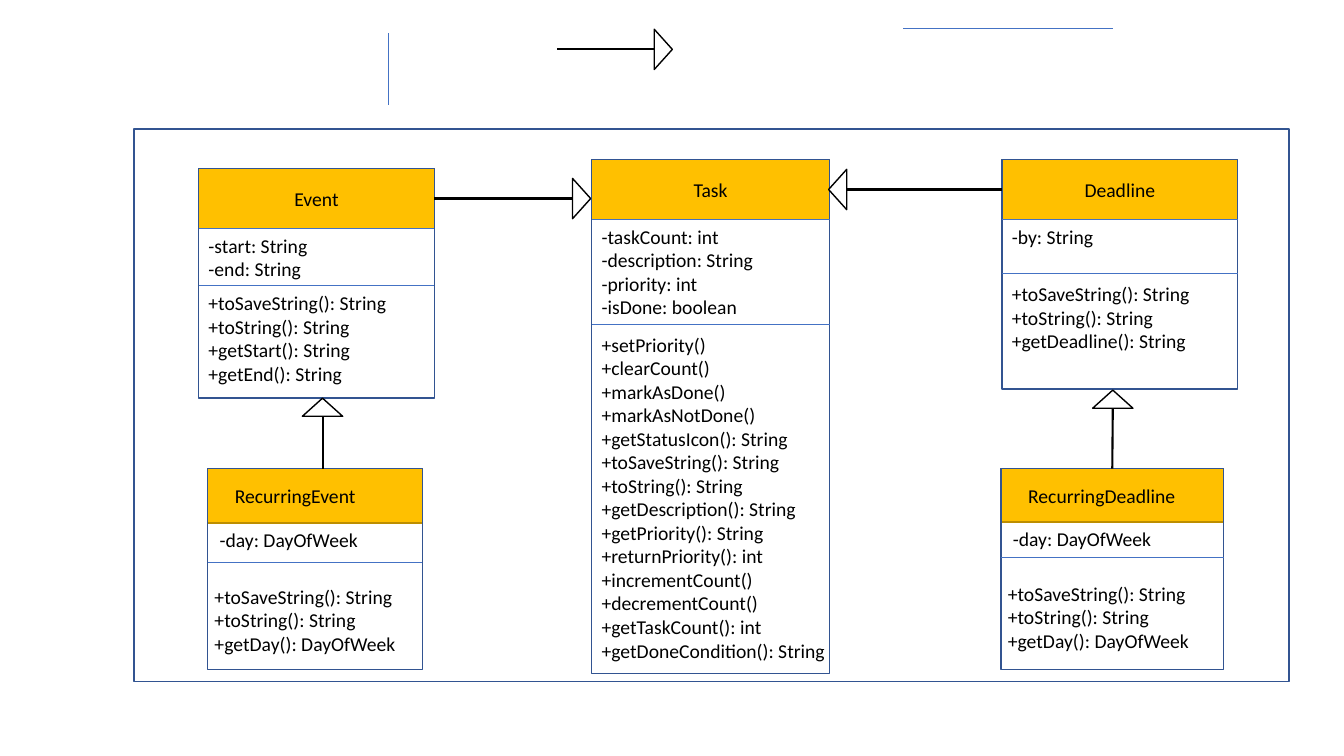
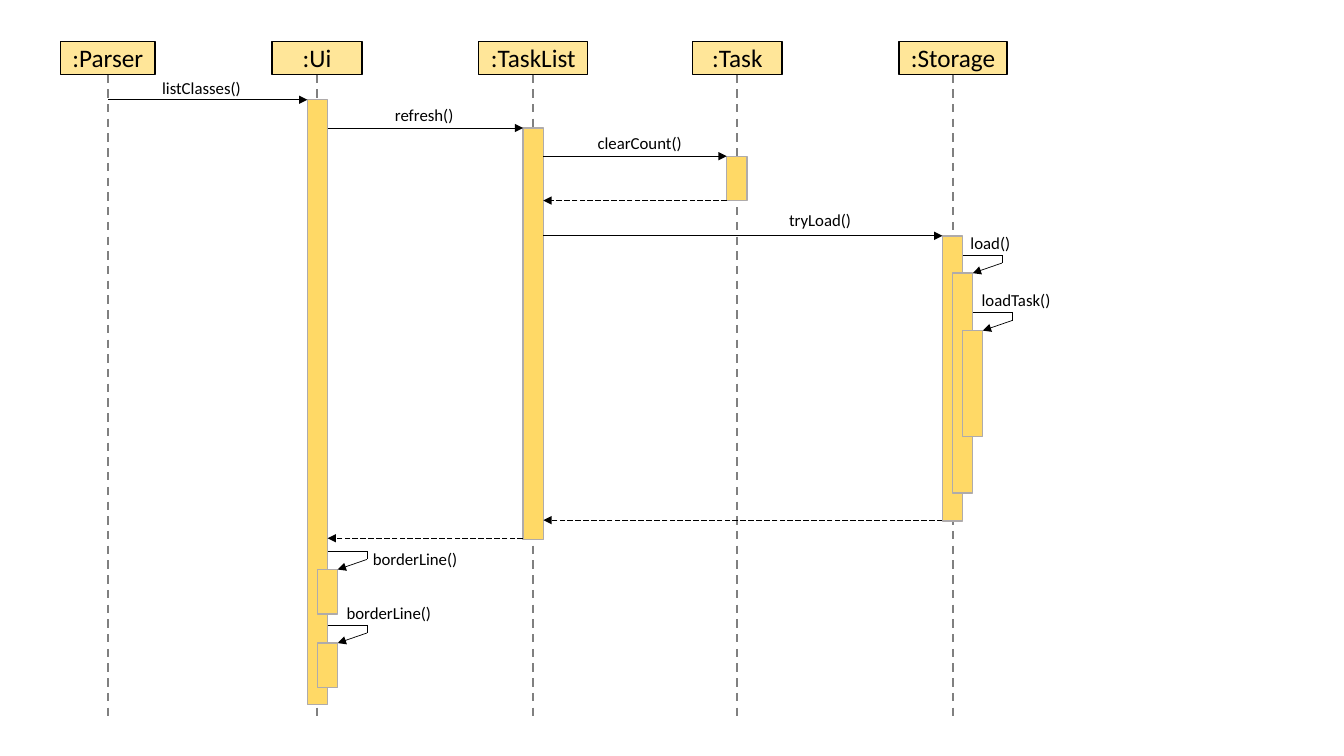
from lxml.etree import SubElement
from pptx import Presentation
from pptx.dml.color import RGBColor
from pptx.enum.dml import MSO_LINE
from pptx.enum.shapes import MSO_CONNECTOR, MSO_SHAPE
from pptx.enum.text import MSO_ANCHOR, PP_ALIGN
from pptx.oxml.ns import qn
from pptx.util import Emu, Pt

SCALE = 9144  # EMU per px, 100 px to the inch
FONT = "Calibri"
BLACK = RGBColor(0x00, 0x00, 0x00)
WHITE = RGBColor(0xFF, 0xFF, 0xFF)
NAVY = RGBColor(0x32, 0x54, 0x91)
BLUE = RGBColor(0x44, 0x72, 0xC4)
GOLD = RGBColor(0xFF, 0xC0, 0x00)
DARK_GOLD = RGBColor(0xBD, 0x8E, 0x00)
PALE_GOLD = RGBColor(0xFF, 0xE6, 0x99)
BAR_GOLD = RGBColor(0xFF, 0xD9, 0x66)
BAR_EDGE = RGBColor(0xAF, 0xAB, 0xAB)
GREY = RGBColor(0x80, 0x80, 0x80)

# direction: unit step and rotation of an upright triangle
TURNS = {"up": (0, -1, 0), "right": (1, 0, 90), "left": (-1, 0, 270)}
TIP_W, TIP_H = 40, 18
BAR_W = 20


def px(n):
    return Emu(round(n * SCALE))


def add_box(slide, box, line, fill=None, shape=MSO_SHAPE.RECTANGLE):
    sp = slide.shapes.add_shape(shape, *map(px, box))
    sp.shadow.inherit = False
    if fill is None:
        sp.fill.background()
    else:
        sp.fill.solid()
        sp.fill.fore_color.rgb = fill
    sp.line.color.rgb = line
    sp.line.width = Pt(1)
    return sp


def add_line(slide, start, end, color=BLACK, width=0.5, dash=None, arrow=False):
    cxn = slide.shapes.add_connector(MSO_CONNECTOR.STRAIGHT, *map(px, start + end))
    cxn.line.color.rgb = color
    cxn.line.width = Pt(width)
    if dash is not None:
        cxn.line.dash_style = dash
    if arrow:
        SubElement(cxn.line._get_or_add_ln(), qn("a:tailEnd"), type="triangle")
    SubElement(cxn._element.spPr, qn("a:effectLst"))
    return cxn


def write(tf, lines, size, align=PP_ALIGN.LEFT):
    for i, text in enumerate(lines):
        p = tf.add_paragraph() if i else tf.paragraphs[0]
        p.alignment = align
        r = p.add_run()
        r.text = text
        r.font.size = Pt(size)
        r.font.name = FONT
        r.font.color.rgb = BLACK


def add_text(slide, box, lines, size):
    tf = slide.shapes.add_textbox(*map(px, box)).text_frame
    tf.word_wrap = True
    write(tf, lines, size)


def class_box(slide, box, head_h, split, gap, name, fields, methods, recurring=False):
    """Draw a class; split is the divider's offset, gap the space below it."""
    x, y, w, h = box
    head = add_box(slide, (x, y, w, head_h), DARK_GOLD, GOLD)
    outline = add_box(slide, box, NAVY)
    tf = head.text_frame
    tf.vertical_anchor = MSO_ANCHOR.MIDDLE
    if recurring:
        tf.margin_left = px(27)
    write(tf, [name], 14, PP_ALIGN.LEFT if recurring else PP_ALIGN.CENTER)
    for dy in [split] if recurring else [head_h, split]:
        add_line(slide, (x, y + dy), (x + w, y + dy), BLUE)
    fields_dx, methods_dx = (2, -3) if recurring else (0, 0)
    add_text(slide, (x + fields_dx, y + head_h, w, split - head_h), fields, 14)
    top = split + gap
    add_text(slide, (x + methods_dx, y + top, w + 20, h - top), methods, 14)
    return head, outline


def generalization(slide, start, tip, direction, source=None, site=0):
    """Draw a line that ends in a hollow triangle whose point is at tip."""
    dx, dy, rotation = TURNS[direction]
    x, y = tip
    cxn = add_line(slide, start, (x - dx * TIP_H, y - dy * TIP_H), width=1.5)
    if source is not None:
        cxn.begin_connect(source, site)
    cx, cy = x - dx * TIP_H / 2, y - dy * TIP_H / 2
    box = (cx - TIP_W / 2, cy - TIP_H / 2, TIP_W, TIP_H)
    head = add_box(slide, box, BLACK, WHITE, MSO_SHAPE.ISOSCELES_TRIANGLE)
    head.rotation = rotation


def class_diagram(slide):
    save, show = "+toSaveString(): String", "+toString(): String"
    day, get_day = ["-day: DayOfWeek"], [save, show, "+getDay(): DayOfWeek"]
    add_box(slide, (133, 128, 1146, 548), NAVY)

    event, _ = class_box(
        slide, (197, 167, 234, 228), 60, 116, 1, "Event",
        ["-start: String", "-end: String"],
        [save, show, "+getStart(): String", "+getEnd(): String"])
    class_box(
        slide, (587, 158, 236, 510), 60, 164, 3, "Task",
        ["-taskCount: int", "-description: String", "-priority: int",
         "-isDone: boolean"],
        ["+setPriority()", "+clearCount()", "+markAsDone()", "+markAsNotDone()",
         "+getStatusIcon(): String", save, show, "+getDescription(): String",
         "+getPriority(): String", "+returnPriority(): int", "+incrementCount()",
         "+decrementCount()", "+getTaskCount(): int",
         "+getDoneCondition(): String"])
    deadline, _ = class_box(
        slide, (994, 158, 234, 228), 60, 113, 4, "Deadline",
        ["-by: String"], [save, show, "+getDeadline(): String"])
    class_box(slide, (206, 465, 213, 199), 54, 93, 17, "RecurringEvent",
              day, get_day, recurring=True)
    _, recurring_deadline = class_box(
        slide, (993, 465, 221, 199), 53, 88, 19, "RecurringDeadline",
        day, get_day, recurring=True)

    generalization(slide, (431, 197), (586, 197), "right", event, 3)
    generalization(slide, (994, 188), (822, 188), "left", deadline, 1)
    generalization(slide, (320, 465), (320, 395), "up")
    generalization(slide, (1103, 465), (1104, 387), "up", recurring_deadline, 0)

    # loose symbols above the frame
    generalization(slide, (553, 49), (667, 49), "right")
    add_line(slide, (385, 33), (385, 104), BLUE)
    add_line(slide, (896, 28), (1104, 28), BLUE)


def lifeline(slide, name, x, w):
    head = add_box(slide, (x, 41, w, 33), BLACK, PALE_GOLD)
    tf = head.text_frame
    tf.vertical_anchor = MSO_ANCHOR.MIDDLE
    tf.margin_left = tf.margin_right = 0
    write(tf, [name], 18, PP_ALIGN.CENTER)
    mid = x + w / 2
    cxn = add_line(slide, (mid, 74), (mid, 712), GREY, 1.5, MSO_LINE.DASH)
    cxn.begin_connect(head, 2)


def activation(slide, x, y, h):
    add_box(slide, (x, y, BAR_W, h), BAR_EDGE, BAR_GOLD)


def label(slide, x, y, text):
    add_text(slide, (x, y, 120, 30), [text], 12)


def self_call(slide, x, y, bar_h, text, text_dx, text_dy):
    """Loop from a bar's right side at x, y to a nested bar below."""
    activation(slide, x - BAR_W / 2, y + 18, bar_h)
    points = [(x, y), (x + 39, y), (x + 39, y + 8), (x + BAR_W / 2, y + 18)]
    for i, (start, end) in enumerate(zip(points, points[1:])):
        add_line(slide, start, end, arrow=i == 2)
    label(slide, x + text_dx, y + text_dy, text)


def sequence_diagram(slide):
    for name, x, w in [(":Parser", 60, 94), (":Ui", 270, 89), (":TaskList", 475, 108),
                       (":Task", 687, 89), (":Storage", 892, 107)]:
        lifeline(slide, name, x, w)

    ui, task_list, task, storage = 305, 519, 721, 935
    for x, y, h in [(ui, 99, 600), (task_list, 127, 408), (task, 155, 44),
                    (storage, 234, 283)]:
        activation(slide, x, y, h)

    for start, end, y, text, text_x, text_y in [
            (107, ui, 99, "listClasses()", 151, 72),
            (ui + BAR_W, task_list, 127, "refresh()", 382, 99),
            (task_list + BAR_W, task, 155, "clearCount()", 583, 127),
            (task_list + BAR_W, storage, 234, "tryLoad()", 773, 203)]:
        add_line(slide, (start, y), (end, y), arrow=True)
        label(slide, text_x, text_y, text)

    for start, caller, y in [(task, task_list, 199), (storage, task_list, 516),
                             (task_list, ui, 534)]:
        add_line(slide, (start, y), (caller + BAR_W, y),
                 dash=MSO_LINE.LONG_DASH, arrow=True)

    for x, y, bar_h, text, dx, dy in [
            (storage + BAR_W, 253, 218, "load()", -2, -27),
            (storage + 1.5 * BAR_W, 310, 105, "loadTask()", -1, -27),
            (ui + BAR_W, 547, 44, "borderLine()", 35, -8),
            (ui + BAR_W, 620, 44, "borderLine()", 9, -27)]:
        self_call(slide, x, y, bar_h, text, dx, dy)


def main():
    prs = Presentation()
    prs.slide_width, prs.slide_height = Emu(12192000), px(750)
    for draw in (class_diagram, sequence_diagram):
        draw(prs.slides.add_slide(prs.slide_layouts[6]))
    prs.save("out.pptx")


if __name__ == "__main__":
    main()
